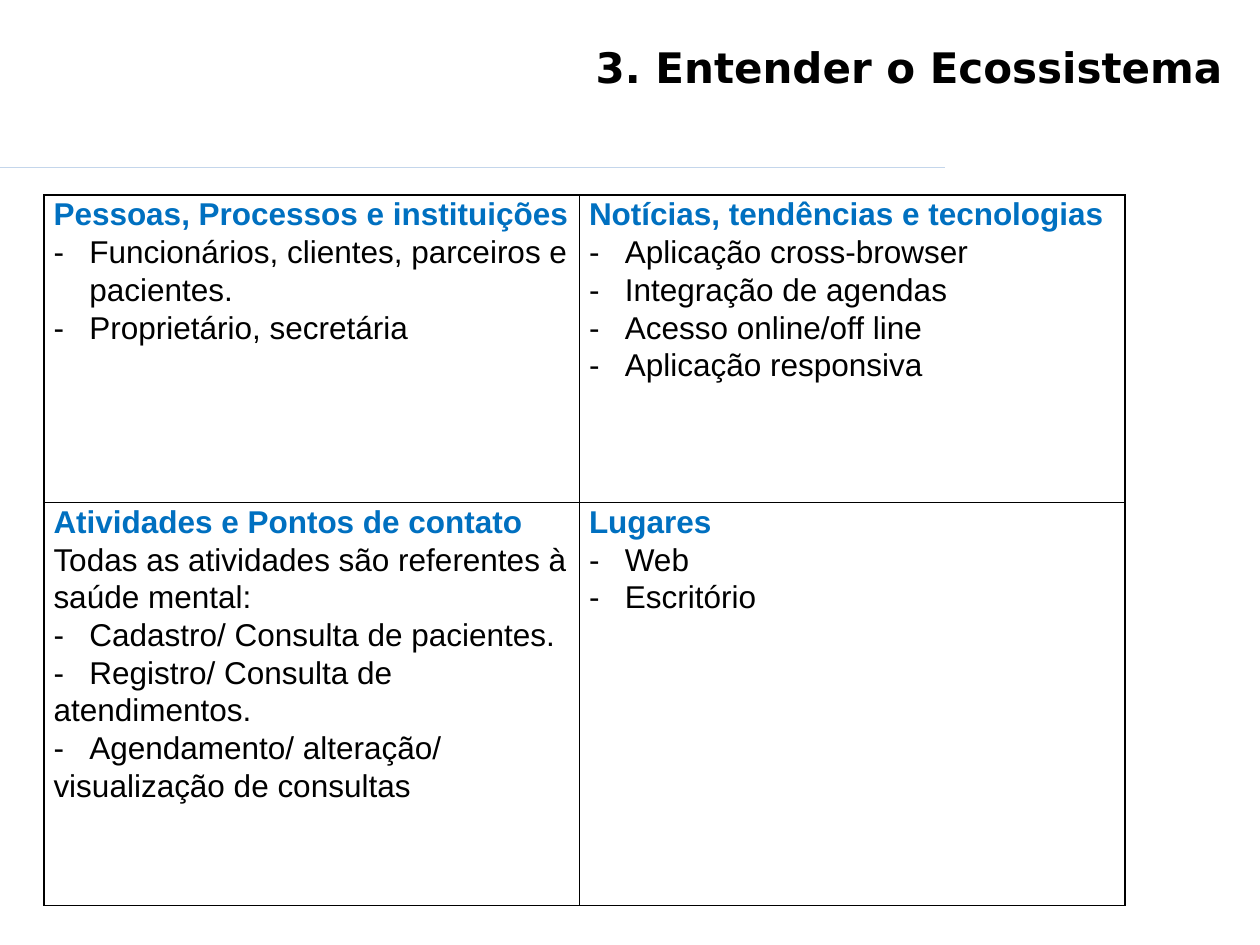
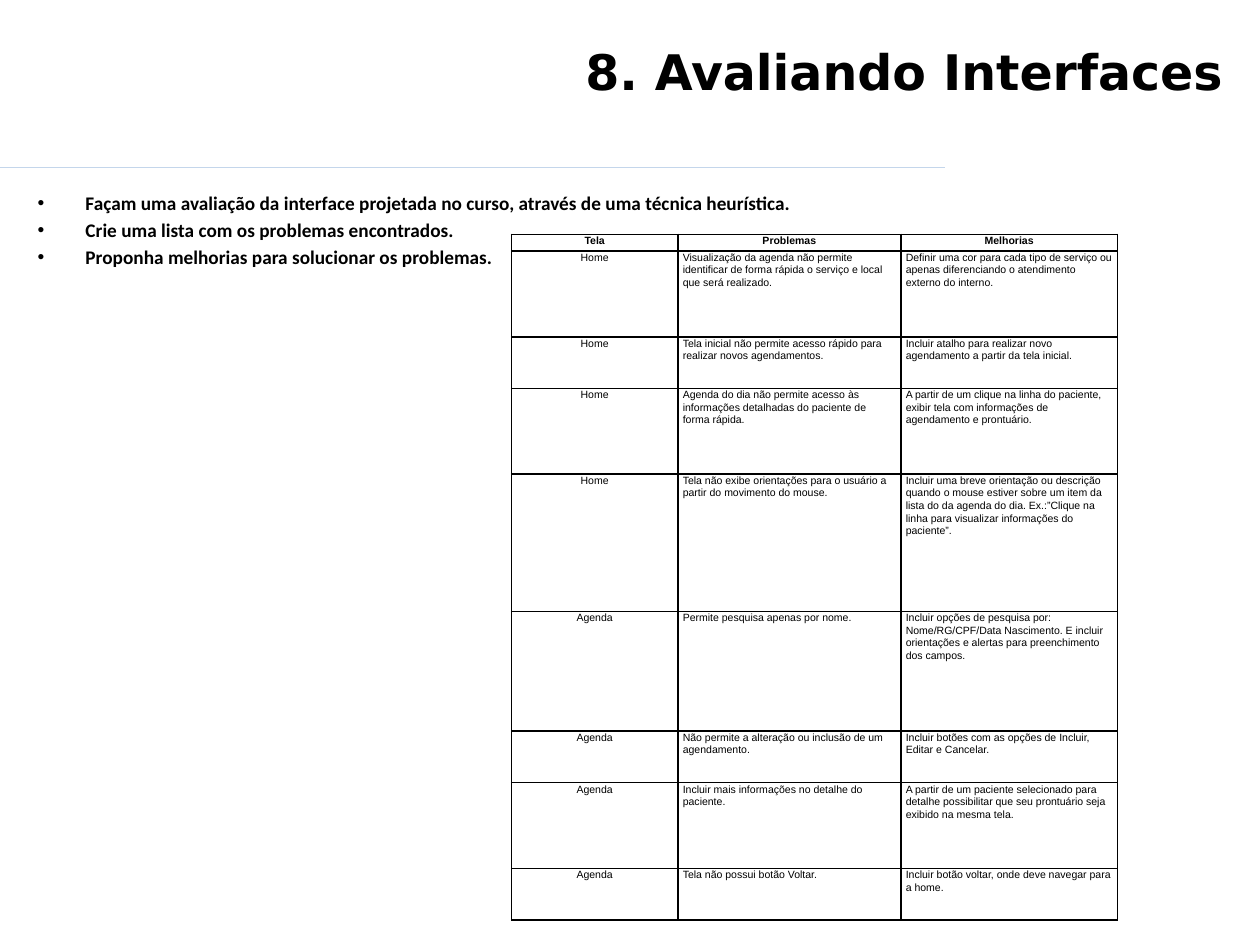
"""Builds two slides: an ecosystem matrix and an interface evaluation."""
from dataclasses import dataclass
from typing import Any, NamedTuple, Optional, Sequence

from lxml.etree import SubElement
from pptx import Presentation
from pptx.dml.color import RGBColor
from pptx.enum.shapes import MSO_CONNECTOR
from pptx.enum.text import MSO_ANCHOR, PP_ALIGN as Align
from pptx.oxml.ns import qn
from pptx.util import Pt


@dataclass(frozen=True)
class Theme:
    ink: str = "000000"
    heading: str = "0070C0"
    rule: str = "C4D6EB"
    title_font: str = "DejaVu Sans"
    body_font: str = "Calibri"
    table_font: str = "Arial"
    bullet_size: float = 11
    matrix_size: float = 18
    findings_size: float = 6
    rule_width: float = 0.75
    border_width: float = 1
    table_spacing: float = 1.07


THEME = Theme()


class Area(NamedTuple):
    left: float
    top: float
    width: float
    height: float


class Item(NamedTuple):
    text: str
    bold: bool = False
    color: str = THEME.ink
    align: Align = Align.LEFT
    bullet: Optional[str] = None
    hang: float = 0
    tab: Optional[float] = None


class Grid(NamedTuple):
    left: float
    top: float
    columns: Sequence[float]
    rows: Sequence[float]
    inset: float
    size: float
    cells: Sequence[Sequence[Sequence[Item]]]


TITLE_AREA = Area(12.96, 20.16, 692.64, 72.72)
BODY_AREA = Area(14.4, 105.84, 691.92, 374.4)
RULE_Y, RULE_END = 95.76, 540
DASH_GAP, BULLET_GAP = 20.5, 27.36


def heading(text: str) -> Item:
    """Return the blue heading of a matrix cell."""
    return Item(text, bold=True, color=THEME.heading)


def dash(text: str) -> Item:
    """Return a dashed item with a hanging indent."""
    return Item(text, bullet="-", hang=DASH_GAP)


def flush_dash(text: str) -> Item:
    """Return a dashed item whose next lines start at the margin."""
    return Item(f"-\t{text}", tab=DASH_GAP)


MATRIX = Grid(
    left=25.2, top=111.4, columns=(306, 311.76), rows=(175.68, 230.4),
    inset=5.4, size=THEME.matrix_size,
    cells=(
        (
            (heading("Pessoas, Processos e instituições"),
             dash("Funcionários, clientes, parceiros e pacientes."),
             dash("Proprietário, secretária")),
            (heading("Notícias, tendências e tecnologias"),
             dash("Aplicação cross-browser"),
             dash("Integração de agendas"),
             dash("Acesso online/off line"),
             dash("Aplicação responsiva")),
        ),
        (
            (heading("Atividades e Pontos de contato"),
             Item("Todas as atividades são referentes à saúde mental:"),
             dash("Cadastro/ Consulta de pacientes."),
             flush_dash("Registro/ Consulta de atendimentos."),
             flush_dash("Agendamento/ alteração/ visualização de consultas")),
            (heading("Lugares"), dash("Web"), dash("Escritório")),
        ),
    ),
)

TASKS = (
    "Façam uma avaliação da interface projetada no curso, através de uma técnica heurística.",
    "Crie uma lista com os problemas encontrados.",
    "Proponha melhorias para solucionar os problemas.",
)


class Finding(NamedTuple):
    screen: str
    problem: str
    improvement: str
    height: float


SHORT, MEDIUM = 29.52, 48.96
FINDINGS_HEADER = ("Tela", "Problemas", "Melhorias")
FINDINGS = (
    Finding("Home",
            "Visualização da agenda não permite identificar de forma rápida "
            "o serviço e local que será realizado.",
            "Definir uma cor para cada tipo de serviço ou apenas "
            "diferenciando o atendimento externo do interno.", MEDIUM),
    Finding("Home",
            "Tela inicial não permite acesso rápido para realizar novos agendamentos.",
            "Incluir atalho para realizar novo agendamento a partir da tela inicial.", SHORT),
    Finding("Home",
            "Agenda do dia não permite acesso às informações detalhadas "
            "do paciente de forma rápida.",
            "A partir de um clique na linha do paciente, exibir tela com "
            "informações de agendamento e prontuário.", MEDIUM),
    Finding("Home",
            "Tela não exibe orientações para o usuário a partir do movimento do mouse.",
            "Incluir uma breve orientação ou descrição quando o mouse estiver "
            "sobre um item da lista do da agenda do dia. Ex.:”Clique na linha "
            "para visualizar informações do paciente”.", 78.48),
    Finding("Agenda",
            "Permite pesquisa apenas por nome.",
            "Incluir opções de pesquisa por: Nome/RG/CPF/Data Nascimento. E incluir "
            "orientações e alertas para preenchimento dos campos.", 68.4),
    Finding("Agenda",
            "Não permite a alteração ou inclusão de um agendamento.",
            "Incluir botões com as opções de Incluir, Editar e Cancelar.", SHORT),
    Finding("Agenda",
            "Incluir mais informações no detalhe do paciente.",
            "A partir de um paciente selecionado para detalhe possibilitar que "
            "seu prontuário seja exibido na mesma tela.", MEDIUM),
    Finding("Agenda",
            "Tela não possui botão Voltar.",
            "Incluir botão voltar, onde deve navegar para a home.", SHORT),
)


def findings_grid() -> Grid:
    """Return the table of findings, with its header row."""
    header = [[Item(name, bold=True, align=Align.CENTER)] for name in FINDINGS_HEADER]
    body = [
        [[Item(row.screen, align=Align.CENTER)], [Item(row.problem)], [Item(row.improvement)]]
        for row in FINDINGS
    ]
    return Grid(
        left=292.32, top=133.92, columns=(95.04, 127.44, 123.84),
        rows=[9.6, *(row.height for row in FINDINGS)],
        inset=2.88, size=THEME.findings_size, cells=[header, *body],
    )


def write_paragraph(para: Any, item: Item, *, font: str, size: float,
                    spacing: float = 1, before: float = 0) -> None:
    """Write one item into a paragraph with the given format."""
    para.alignment = item.align
    para.line_spacing = spacing
    para.space_before = Pt(before)
    span = para.add_run()
    span.text = item.text
    span.font.name = font
    span.font.size = Pt(size)
    span.font.bold = item.bold
    span.font.color.rgb = RGBColor.from_string(item.color)
    properties = para._p.get_or_add_pPr()
    if item.bullet:
        properties.set("marL", str(Pt(item.hang)))
        properties.set("indent", str(-Pt(item.hang)))
        SubElement(properties, qn("a:buFont"), typeface="Arial")
        SubElement(properties, qn("a:buChar"), char=item.bullet)
    if item.tab:
        stops = SubElement(properties, qn("a:tabLst"))
        SubElement(stops, qn("a:tab"), pos=str(Pt(item.tab)), algn="l")


def write_items(frame: Any, items: Sequence[Item], **style: Any) -> None:
    """Write items as the paragraphs of a text frame."""
    for index, item in enumerate(items):
        para = frame.add_paragraph() if index else frame.paragraphs[0]
        write_paragraph(para, item, **style)


def add_text(page: Any, area: Area, items: Sequence[Item], **style: Any) -> None:
    """Add a wrapping text box at the given area."""
    box = page.shapes.add_textbox(*map(Pt, area))
    box.text_frame.word_wrap = True
    box.text_frame.vertical_anchor = MSO_ANCHOR.TOP
    write_items(box.text_frame, items, **style)


def border_cell(cell: Any) -> None:
    """Give a cell a solid border on all four sides and no fill."""
    properties = cell._tc.get_or_add_tcPr()
    for side in ("lnL", "lnR", "lnT", "lnB"):
        line = SubElement(properties, qn(f"a:{side}"), w=str(Pt(THEME.border_width)))
        SubElement(SubElement(line, qn("a:solidFill")), qn("a:srgbClr"), val=THEME.ink)
    cell.fill.background()


def add_grid(page: Any, grid: Grid) -> None:
    """Add a bordered table."""
    area = Area(grid.left, grid.top, sum(grid.columns), sum(grid.rows))
    table = page.shapes.add_table(len(grid.rows), len(grid.columns), *map(Pt, area)).table
    table.first_row = table.horz_banding = False
    for column, width in zip(table.columns, grid.columns):
        column.width = Pt(width)
    for row, height, contents in zip(table.rows, grid.rows, grid.cells):
        row.height = Pt(height)
        for cell, items in zip(row.cells, contents):
            cell.margin_left = cell.margin_right = Pt(grid.inset)
            cell.margin_top = cell.margin_bottom = Pt(0)
            border_cell(cell)
            write_items(cell.text_frame, items, font=THEME.table_font,
                        size=grid.size, spacing=THEME.table_spacing)


def add_page(deck: Any, title: str, size: float) -> Any:
    """Add a blank page with the shared rule and title."""
    page = deck.slides.add_slide(deck.slide_layouts[6])
    rule = page.shapes.add_connector(
        MSO_CONNECTOR.STRAIGHT, Pt(0), Pt(RULE_Y), Pt(RULE_END), Pt(RULE_Y))
    rule.line.color.rgb = RGBColor.from_string(THEME.rule)
    rule.line.width = Pt(THEME.rule_width)
    SubElement(rule._element.spPr, qn("a:effectLst"))
    add_text(page, TITLE_AREA, [Item(title, bold=True, align=Align.RIGHT)],
             font=THEME.title_font, size=size)
    return page


def main() -> None:
    """Build and save the deck."""
    deck = Presentation()
    deck.slide_width, deck.slide_height = Pt(720), Pt(540)

    ecosystem = add_page(deck, "3. Entender o Ecossistema", 24)
    add_grid(ecosystem, MATRIX)

    evaluation = add_page(deck, "8. Avaliando Interfaces", 28)
    tasks = [Item(task, bold=True, bullet="•", hang=BULLET_GAP) for task in TASKS]
    add_text(evaluation, BODY_AREA, tasks, font=THEME.body_font,
             size=THEME.bullet_size, before=THEME.bullet_size * 0.2)
    add_grid(evaluation, findings_grid())

    deck.save("out.pptx")


if __name__ == "__main__":
    main()
